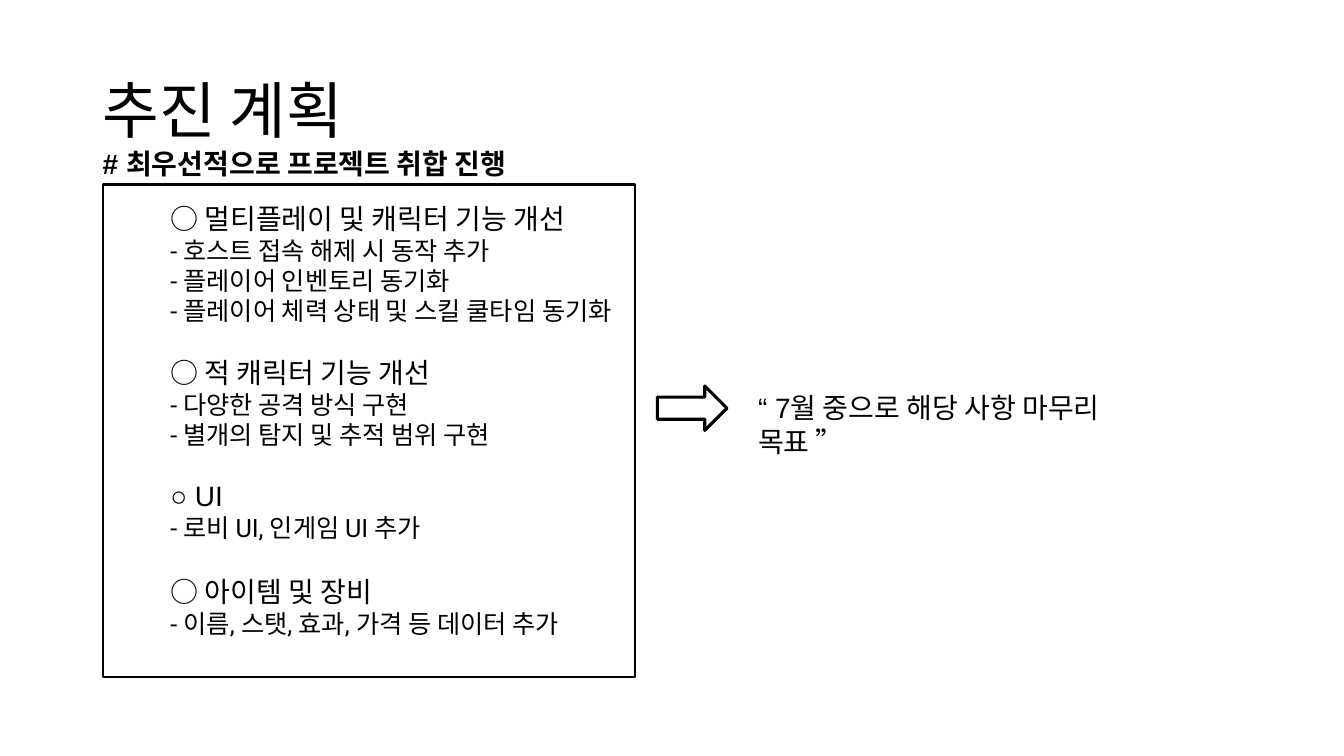
from pptx import Presentation
from pptx.dml.color import RGBColor
from pptx.enum.shapes import MSO_SHAPE
from pptx.enum.text import MSO_ANCHOR
from pptx.util import Inches, Pt

BLACK = RGBColor(0x00, 0x00, 0x00)
WHITE = RGBColor(0xFF, 0xFF, 0xFF)

# Space above the heading in points, heading, tasks
PLAN = [
    (0, "○ 멀티플레이 및 캐릭터 기능 개선", [
        "- 호스트 접속 해제 시 동작 추가",
        "- 플레이어 인벤토리 동기화",
        "- 플레이어 체력 상태 및 스킬 쿨타임 동기화",
    ]),
    (21, "○ 적 캐릭터 기능 개선", [
        "- 다양한 공격 방식 구현",
        "- 별개의 탐지 및 추적 범위 구현",
    ]),
    (21, "○ UI", ["- 로비 UI, 인게임 UI 추가"]),
    (23, "○ 아이템 및 장비", ["- 이름, 스탯, 효과, 가격 등 데이터 추가"]),
]


class PlanPage:
    """Holds the text style and the slide being drawn."""

    heading_font = "Arial"
    task_font = "Roboto"
    heading_size = 20
    task_size = 18

    def __init__(self, deck):
        self.page = deck.slides.add_slide(deck.slide_layouts[6])

    def outline(self, kind, left, top, width, height, weight):
        shape = self.page.shapes.add_shape(
            kind, Inches(left), Inches(top), Inches(width), Inches(height))
        shape.shadow.inherit = False
        shape.fill.solid()
        shape.fill.fore_color.rgb = WHITE
        shape.line.color.rgb = BLACK
        shape.line.width = Pt(weight)

    def text_box(self, left, top, width, height, anchor=MSO_ANCHOR.TOP):
        box = self.page.shapes.add_textbox(
            Inches(left), Inches(top), Inches(width), Inches(height))
        frame = box.text_frame
        frame.word_wrap = True
        frame.vertical_anchor = anchor
        return frame

    def add_span(self, para, text, size=heading_size, font=heading_font, bold=False):
        span = para.add_run()
        span.text = text
        span.font.size = Pt(size)
        span.font.name = font
        span.font.bold = bold
        span.font.color.rgb = BLACK

    def plan_list(self, frame, plan):
        para = frame.paragraphs[0]
        for gap, heading, tasks in plan:
            if gap:
                para = frame.add_paragraph()
                para.space_before = Pt(gap)
            self.add_span(para, heading)
            for task in tasks:
                self.add_span(frame.add_paragraph(), task, self.task_size, self.task_font)


def main():
    deck = Presentation()
    deck.slide_width = Inches(13.33)
    deck.slide_height = Inches(7.5)
    plan_page = PlanPage(deck)

    # Frame around the plan
    plan_page.outline(MSO_SHAPE.RECTANGLE, 1.02, 1.83, 5.28, 4.89, 1.5)

    # Title
    title = plan_page.text_box(0.92, 0.4, 11.5, 1.45, MSO_ANCHOR.MIDDLE).paragraphs[0]
    title.line_spacing = 0.9
    plan_page.add_span(title, "추진 계획", size=44)

    # Plan items
    plan_page.plan_list(plan_page.text_box(1.59, 1.95, 6.51, 5.15), PLAN)

    # Priority line
    priority = plan_page.text_box(0.92, 1.4, 6.51, 0.74).paragraphs[0]
    plan_page.add_span(priority, "# 최우선적으로 프로젝트 취합 진행", bold=True)

    # Goal and the arrow leading to it
    goal = plan_page.text_box(7.42, 3.83, 4.43, 0.44).paragraphs[0]
    plan_page.add_span(goal, "“ 7월 중으로 해당 사항 마무리 목표 ”")
    plan_page.outline(MSO_SHAPE.RIGHT_ARROW, 6.52, 3.83, 0.69, 0.44, 2.25)

    deck.save("out.pptx")


if __name__ == "__main__":
    main()
